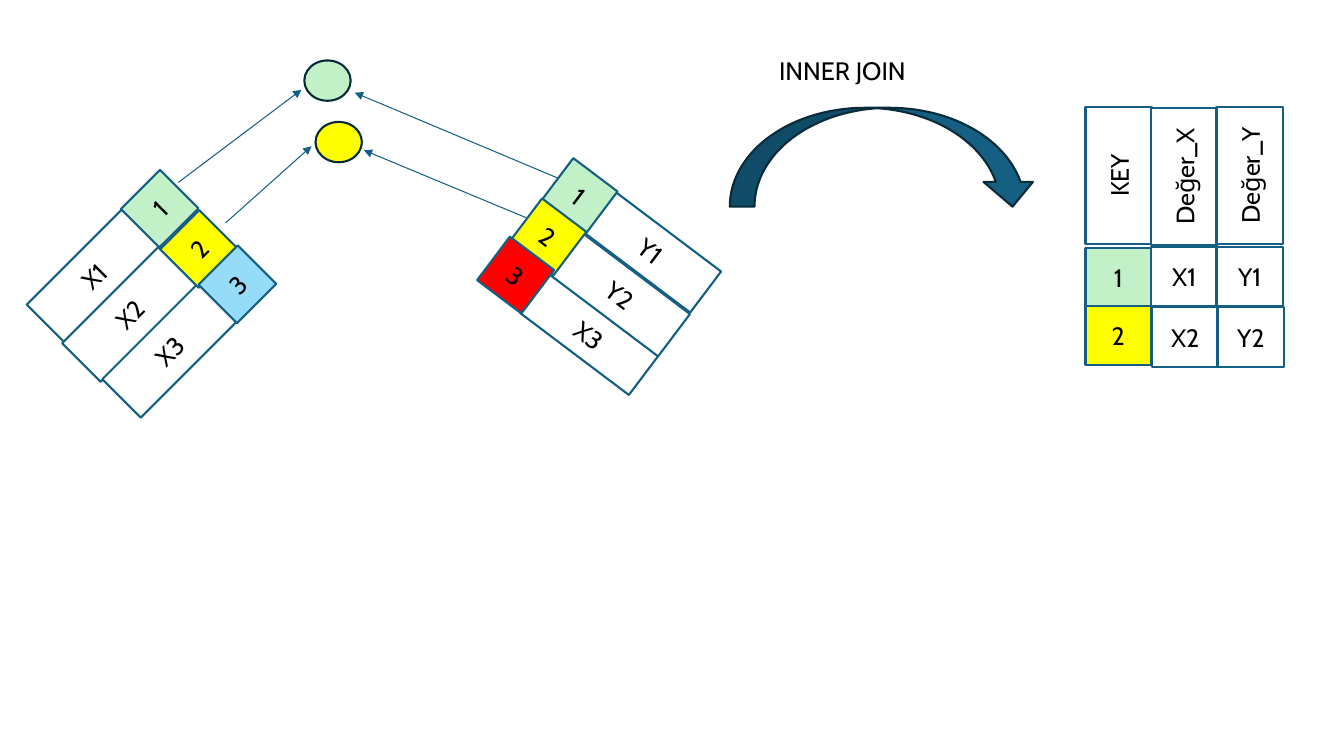
from pptx import Presentation
from pptx.dml.color import RGBColor
from pptx.enum.shapes import MSO_CONNECTOR as LINK, MSO_SHAPE as KIND
from pptx.enum.text import MSO_ANCHOR as ANCHOR, PP_ALIGN as ALIGN
from pptx.oxml.ns import qn
from pptx.util import Pt
from lxml.etree import SubElement

TEAL = RGBColor(0x15, 0x60, 0x82)
NAVY = RGBColor(0x09, 0x2A, 0x38)
WHITE = RGBColor(0xFF, 0xFF, 0xFF)
BLACK = RGBColor(0x00, 0x00, 0x00)
GREEN = RGBColor(0xC2, 0xF1, 0xC8)
YELLOW = RGBColor(0xFF, 0xFF, 0x00)
BLUE = RGBColor(0x96, 0xDC, 0xF8)
RED = RGBColor(0xFF, 0x00, 0x00)


def write(frame, text, size=18, font="Cabin", color=BLACK,
          align=ALIGN.CENTER, anchor=ANCHOR.MIDDLE):
    frame.word_wrap = True
    frame.vertical_anchor = anchor
    para = frame.paragraphs[0]
    para.alignment = align
    run = para.add_run()
    run.text = text
    run.font.size = Pt(size)
    run.font.name = font
    run.font.color.rgb = color


class Board:
    """Holds the line style and the slide; lengths are in points."""

    def __init__(self, slide, edge=TEAL, weight=1.5):
        self.slide = slide
        self.edge = edge
        self.weight = weight

    def group(self):
        return self.slide.shapes.add_group_shape().shapes

    def shape(self, kind, box, fill, edge=None, turn=0, home=None):
        home = home or self.slide.shapes
        shape = home.add_shape(kind, *map(Pt, box))
        shape.shadow.inherit = False
        shape.rotation = turn
        shape.fill.solid()
        shape.fill.fore_color.rgb = fill
        shape.line.color.rgb = edge or self.edge
        shape.line.width = Pt(self.weight)
        return shape

    def cell(self, text, box, fill=WHITE, turn=0, home=None):
        shape = self.shape(KIND.RECTANGLE, box, fill, turn=turn, home=home)
        write(shape.text_frame, text)

    def arrow(self, start, end):
        link = self.slide.shapes.add_connector(
            LINK.STRAIGHT, *map(Pt, start + end))
        link.line.color.rgb = self.edge
        link.line.width = Pt(0.75)
        SubElement(link.line._get_or_add_ln(), qn("a:tailEnd"), type="triangle")
        SubElement(link._element.spPr, qn("a:effectLst"))

    def label(self, text, box):
        area = self.slide.shapes.add_textbox(*map(Pt, box))
        write(area.text_frame, text, align=ALIGN.LEFT, anchor=ANCHOR.TOP)


def source(board, turn, values, keys):
    """Draw one tilted source table: value cells, then its key cells."""
    home = board.group()
    for text, *box in values:
        board.cell(text, box, turn=turn, home=home)
    for num, (left, top, fill) in enumerate(keys, 1):
        board.cell(str(num), (left, top, 39.6, 38.9), fill, turn, home)


def matches(board):
    """Draw the circles of the shared keys and the arrows to them."""
    rows = [
        (GREEN, (217.4, 43.2), [((127.4, 130.3), (215.3, 64.1)),
                                ((398.9, 127.4), (253.4, 66.2))]),
        (YELLOW, (225.4, 87.1), [((161.3, 159.1), (222.5, 104.4)),
                                 ((375.8, 155.5), (259.9, 107.3))]),
    ]
    for fill, spot, links in rows:
        for start, end in links:
            board.arrow(start, end)
        board.shape(KIND.OVAL, spot + (33.1, 28.8), fill, NAVY)


def result(board):
    """Draw the joined table with its upright headings."""
    left, top, step = 775.4, 177.1, 46.8
    for row, fill in enumerate((GREEN, YELLOW)):
        num = str(row + 1)
        board.cell(num, (left, top + row * 41.8, step, 41.8), fill)
        for col, name in enumerate("XY", 1):
            box = (left + col * step + row * 0.7, 176.4 + row * 43.2, 47.5, 42.5)
            board.cell(name + num, box)
    for col, head in enumerate(("KEY", "Değer_X", "Değer_Y")):
        drop = 0.7 * (col == 1)
        board.cell(head, (750.2 + col * step, 101.5 + drop, 97.9, 47.5), turn=270)


def main():
    deck = Presentation()
    deck.slide_width, deck.slide_height = Pt(960), Pt(540)
    board = Board(deck.slides.add_slide(deck.slide_layouts[6]))

    source(board, 315,
           [("X1", 18.7, 177.8, 96.5, 38.9),
            ("X2", 43.9, 205.2, 97.2, 38.9),
            ("X3", 72.7, 231.1, 96.5, 38.9)],
           [(94.3, 129.6, GREEN), (122.4, 158.4, YELLOW), (149.8, 183.6, BLUE)])
    source(board, 37,
           [("Y1", 415.4, 160.6, 98.6, 36.7),
            ("Y2", 394.6, 191.5, 96.5, 38.2),
            ("X3", 372.2, 221.8, 97.2, 34.6)],
           [(393.8, 121, GREEN), (371.5, 149.8, YELLOW), (348.5, 177.1, RED)])
    matches(board)
    board.shape(KIND.CURVED_DOWN_ARROW, (521.3, 77, 219.6, 70.6), TEAL, NAVY)
    board.label("INNER JOIN", (549.4, 36, 122.4, 28.8))
    result(board)

    deck.save("out.pptx")


if __name__ == "__main__":
    main()
